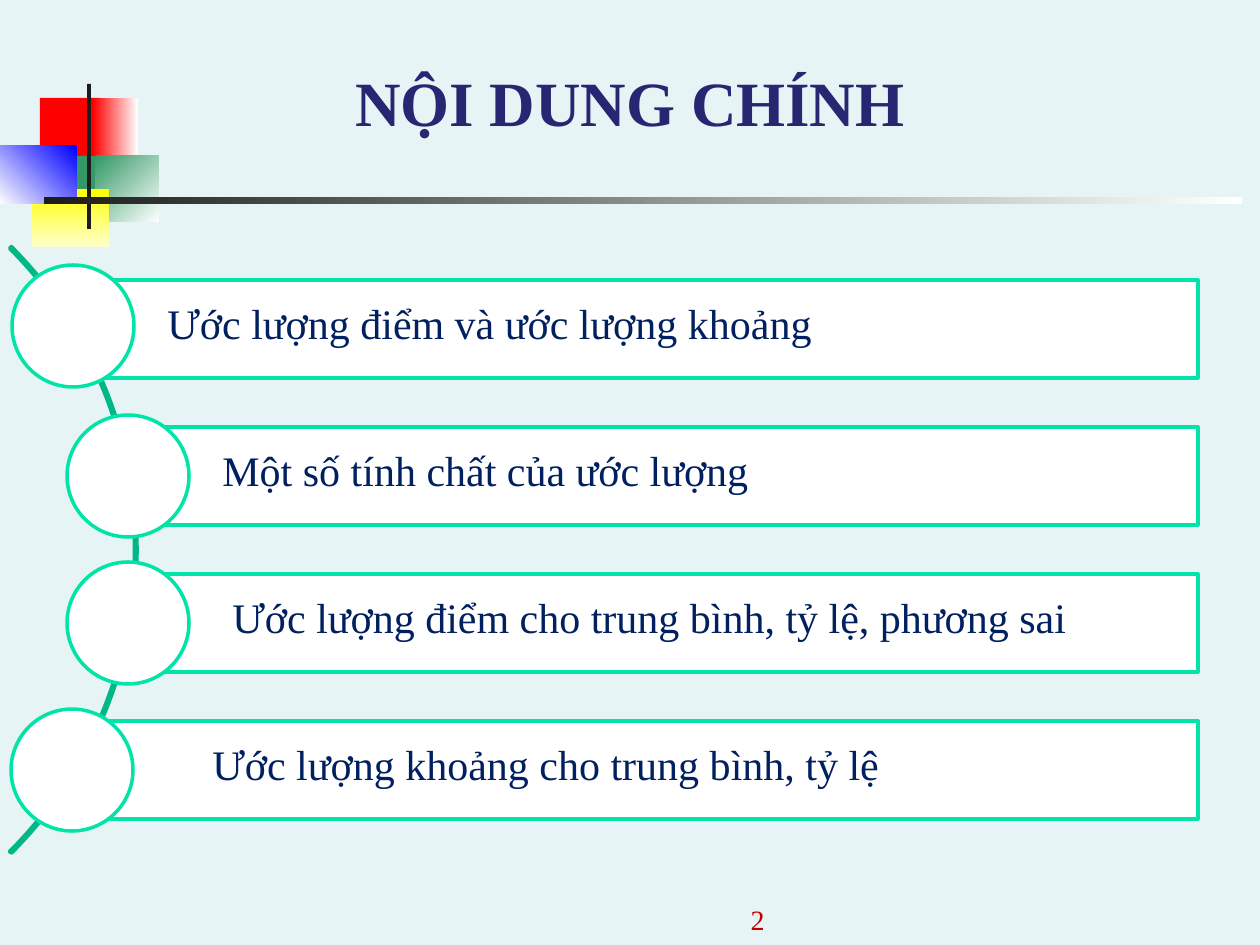
from dataclasses import dataclass
from typing import NamedTuple

from pptx import Presentation
from pptx import util as u
from pptx.dml import color
from pptx.enum import shapes, text

PX = u.Inches(1) / 126


@dataclass(frozen=True)
class Theme:
    font: str = "Times New Roman"
    background: str = "E7F4F5"
    title: str = "262673"
    body: str = "002060"
    number: str = "C00000"
    panel: str = "FFFFFF"
    border: str = "00E4A8"
    arc: str = "00B787"
    title_pt: int = 36
    body_pt: int = 24
    number_pt: int = 16
    line_pt: int = 2


class Box(NamedTuple):
    x: int
    y: int
    w: int
    h: int


class Block(NamedTuple):
    box: Box
    start: str
    end: str = ""  # empty for a solid fill
    angle: int = 0  # clockwise


class Topic(NamedTuple):
    label: str
    panel_x: int
    circle_x: int
    circle_y: int
    text_x: int
    text_w: int


THEME = Theme()
KIND = shapes.MSO_SHAPE
ALIGN = text.PP_ALIGN
ANCHOR = text.MSO_ANCHOR

BLOCKS = [
    Block(Box(40, 98, 60, 66), "FF0000"),
    Block(Box(93, 98, 45, 66), "FF0000", "FFFFFF"),
    Block(Box(95, 156, 64, 66), "339966", "FFFFFF", 45),
    Block(Box(54, 156, 41, 66), "339966"),
    Block(Box(32, 189, 77, 58), "FFFF00", "FFFFCC", 90),
    Block(Box(0, 146, 77, 58), "FFFFFF", "0000FF", 315),
    Block(Box(87, 84, 4, 145), "1C1C1C"),
    Block(Box(44, 197, 1198, 7), "1C1C1C", "FFFFFF"),
]

TOPICS = [
    Topic("Ước lượng điểm và ước lượng khoảng", 72, 12, 265, 155, 1102),
    Topic("Một số tính chất của ước lượng", 128, 67, 415, 210, 924),
    Topic("Ước lượng điểm cho trung bình, tỷ lệ, phương sai",
          128, 67, 562, 220, 924),
    Topic("Ước lượng khoảng cho trung bình, tỷ lệ", 72, 11, 709, 200, 918),
]
ROW_TOP, ROW_STEP, PANEL_H, PANEL_RIGHT = 280, 147, 98, 1198
CIRCLE, TEXT_DROP, TEXT_H = 122, 11, 63


def emu(box: Box) -> list[int]:
    return [round(v * PX) for v in box]


def rgb(value: str) -> color.RGBColor:
    return color.RGBColor.from_string(value)


def add_shape(s, kind, box: Box, fill: str = "", line: str = ""):
    sp = s.shapes.add_shape(kind, *emu(box))
    sp.shadow.inherit = False
    if fill:
        sp.fill.solid()
        sp.fill.fore_color.rgb = rgb(fill)
    else:
        sp.fill.background()
    if line:
        sp.line.color.rgb = rgb(line)
        sp.line.width = u.Pt(THEME.line_pt)
    else:
        sp.line.fill.background()
    return sp


def add_block(s, block: Block) -> None:
    sp = add_shape(s, KIND.RECTANGLE, block.box, block.start)
    if block.end:
        sp.fill.gradient()
        sp.fill.gradient_angle = 360 - block.angle
        for stop, value in zip(sp.fill.gradient_stops, (block.start, block.end)):
            stop.color.rgb = rgb(value)


def add_text(s, box: Box, words: str, size: int, ink: str,
             align=ALIGN.LEFT, anchor=ANCHOR.TOP, bold: bool = False) -> None:
    tf = s.shapes.add_textbox(*emu(box)).text_frame
    tf.word_wrap = True
    tf.vertical_anchor = anchor
    p = tf.paragraphs[0]
    p.alignment = align
    r = p.add_run()
    r.text = words
    r.font.name = THEME.font
    r.font.size = u.Pt(size)
    r.font.bold = bold
    r.font.color.rgb = rgb(ink)


def add_topic(s, topic: Topic, top: int) -> None:
    panel = Box(topic.panel_x, top, PANEL_RIGHT - topic.panel_x, PANEL_H)
    circle = Box(topic.circle_x, topic.circle_y, CIRCLE, CIRCLE)
    for kind, box in ((KIND.RECTANGLE, panel), (KIND.OVAL, circle)):
        add_shape(s, kind, box, THEME.panel, THEME.border)
    add_text(s, Box(topic.text_x, top + TEXT_DROP, topic.text_w, TEXT_H),
             topic.label, THEME.body_pt, THEME.body)


def main() -> None:
    prs = Presentation()
    prs.slide_width, prs.slide_height = u.Inches(10), u.Inches(7.5)
    s = prs.slides.add_slide(prs.slide_layouts[6])
    s.background.fill.solid()
    s.background.fill.fore_color.rgb = rgb(THEME.background)

    # Corner ornament and rule
    for block in BLOCKS:
        add_block(s, block)

    # Title and slide number
    add_text(s, Box(0, 53, 1260, 92), "NỘI DUNG CHÍNH", THEME.title_pt,
             THEME.title, ALIGN.CENTER, ANCHOR.BOTTOM, bold=True)
    add_text(s, Box(483, 892, 294, 50), "2", THEME.number_pt,
             THEME.number, ALIGN.RIGHT, ANCHOR.BOTTOM)

    # Thin arc from 315 to 45 degrees, behind the topics
    arc = add_shape(s, KIND.BLOCK_ARC, Box(-721, 121, 858, 858), line=THEME.arc)
    for i, value in enumerate((189, 27, 0.003)):
        arc.adjustments[i] = value

    # Topics
    for i, topic in enumerate(TOPICS):
        add_topic(s, topic, ROW_TOP + i * ROW_STEP)

    prs.save("out.pptx")


if __name__ == "__main__":
    main()
